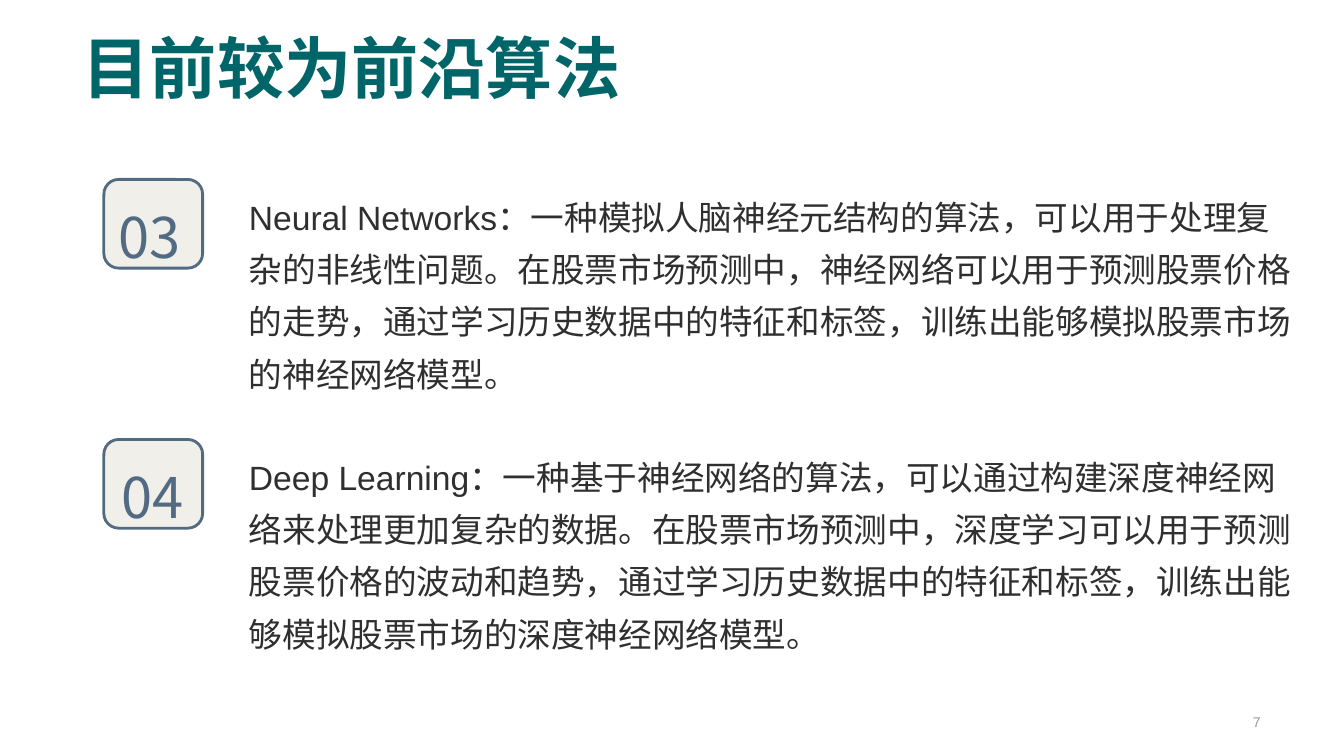
from dataclasses import dataclass

from lxml import etree
from pptx import Presentation
from pptx.dml.color import RGBColor
from pptx.enum.shapes import MSO_SHAPE
from pptx.enum.text import MSO_ANCHOR, MSO_AUTO_SIZE, PP_ALIGN
from pptx.oxml.ns import qn
from pptx.slide import Slide
from pptx.text.text import TextFrame
from pptx.util import Inches, Pt

ROUNDED = MSO_SHAPE.ROUNDED_RECTANGLE
BOTTOM, MIDDLE = MSO_ANCHOR.BOTTOM, MSO_ANCHOR.MIDDLE
NO_FIT, GROW = MSO_AUTO_SIZE.NONE, MSO_AUTO_SIZE.SHAPE_TO_FIT_TEXT
LEFT, RIGHT = PP_ALIGN.LEFT, PP_ALIGN.RIGHT

TEAL = RGBColor(0x00, 0x65, 0x68)
SLATE = RGBColor(0x53, 0x6B, 0x82)
CREAM = RGBColor(0xF0, 0xEF, 0xEA)
INK = RGBColor(0x2F, 0x2F, 0x2F)
GRAY = RGBColor(0x97, 0x97, 0x97)
LATIN, CHINESE = "Arial", "Noto Sans CJK SC"


@dataclass(frozen=True)
class Style:
    size: float
    font: str
    color: RGBColor
    spacing: float = 1.0
    bold: bool = False
    align: PP_ALIGN = LEFT


@dataclass(frozen=True)
class Algorithm:
    number: str
    description: str
    top: float
    number_left: float


TITLE = Style(48, CHINESE, TEAL, spacing=0.9, bold=True)
NUMBER = Style(40, CHINESE, SLATE, spacing=1.5)
DESCRIPTION = Style(24, LATIN, INK, spacing=1.3)
PAGE = Style(10, LATIN, GRAY, align=RIGHT)

ALGORITHMS = [
    Algorithm(
        "03",
        "Neural\u00a0Networks：一种模拟人脑神经元结构的算法，可以用于处理复杂的非线性问题。"
        "在股票市场预测中，神经网络可以用于预测股票价格的走势，"
        "通过学习历史数据中的特征和标签，训练出能够模拟股票市场的神经网络模型。",
        top=1.78, number_left=1.08),
    Algorithm(
        "04",
        "Deep\u00a0Learning：一种基于神经网络的算法，可以通过构建深度神经网络来处理更加复杂的数据。"
        "在股票市场预测中，深度学习可以用于预测股票价格的波动和趋势，"
        "通过学习历史数据中的特征和标签，训练出能够模拟股票市场的深度神经网络模型。",
        top=4.36, number_left=1.11),
]


def write(frame: TextFrame, text: str, style: Style) -> None:
    frame.text = text
    paragraph = frame.paragraphs[0]
    paragraph.alignment = style.align
    paragraph.line_spacing = style.spacing
    font = paragraph.runs[0].font
    font.size = Pt(style.size)
    font.name = style.font
    font.bold = style.bold
    font.color.rgb = style.color
    # Chinese characters use their own typeface slot
    east_asian = etree.Element(qn("a:ea"), typeface=CHINESE)
    font._element.find(qn("a:latin")).addnext(east_asian)


def add_text(slide: Slide, left: float, top: float, width: float, height: float,
             text: str, style: Style, wrap: bool = True) -> TextFrame:
    box = slide.shapes.add_textbox(
        Inches(left), Inches(top), Inches(width), Inches(height))
    frame = box.text_frame
    write(frame, text, style)
    frame.word_wrap = wrap
    return frame


def add_algorithm(slide: Slide, algorithm: Algorithm) -> None:
    badge = slide.shapes.add_shape(
        ROUNDED, Inches(1.03), Inches(algorithm.top), Inches(0.98), Inches(0.88))
    badge.shadow.inherit = False
    badge.fill.solid()
    badge.fill.fore_color.rgb = CREAM
    badge.line.color.rgb = SLATE
    badge.line.width = Pt(2)

    number = add_text(slide, algorithm.number_left, algorithm.top - 0.15, 0.82, 1.11,
                      algorithm.number, NUMBER, wrap=False)
    number.auto_size = GROW
    description = add_text(slide, 2.37, algorithm.top, 10.57, 2.16,
                           algorithm.description, DESCRIPTION)
    description.auto_size = GROW


presentation = Presentation()
presentation.slide_width = Inches(13.33)
presentation.slide_height = Inches(7.5)
title_only = presentation.slide_layouts[5]
slide = presentation.slides.add_slide(title_only)

# Title
title = slide.shapes.title
title.left, title.top = Inches(0.72), Inches(0)
title.width, title.height = Inches(11.88), Inches(1.12)
write(title.text_frame, "目前较为前沿算法", TITLE)
title.text_frame.vertical_anchor = BOTTOM
title.text_frame.auto_size = NO_FIT

# Numbered algorithms
for algorithm in ALGORITHMS:
    add_algorithm(slide, algorithm)

# Page number
page = add_text(slide, 9.69, 7.04, 2.91, 0.24, "7", PAGE)
page.vertical_anchor = MIDDLE

presentation.save("out.pptx")
